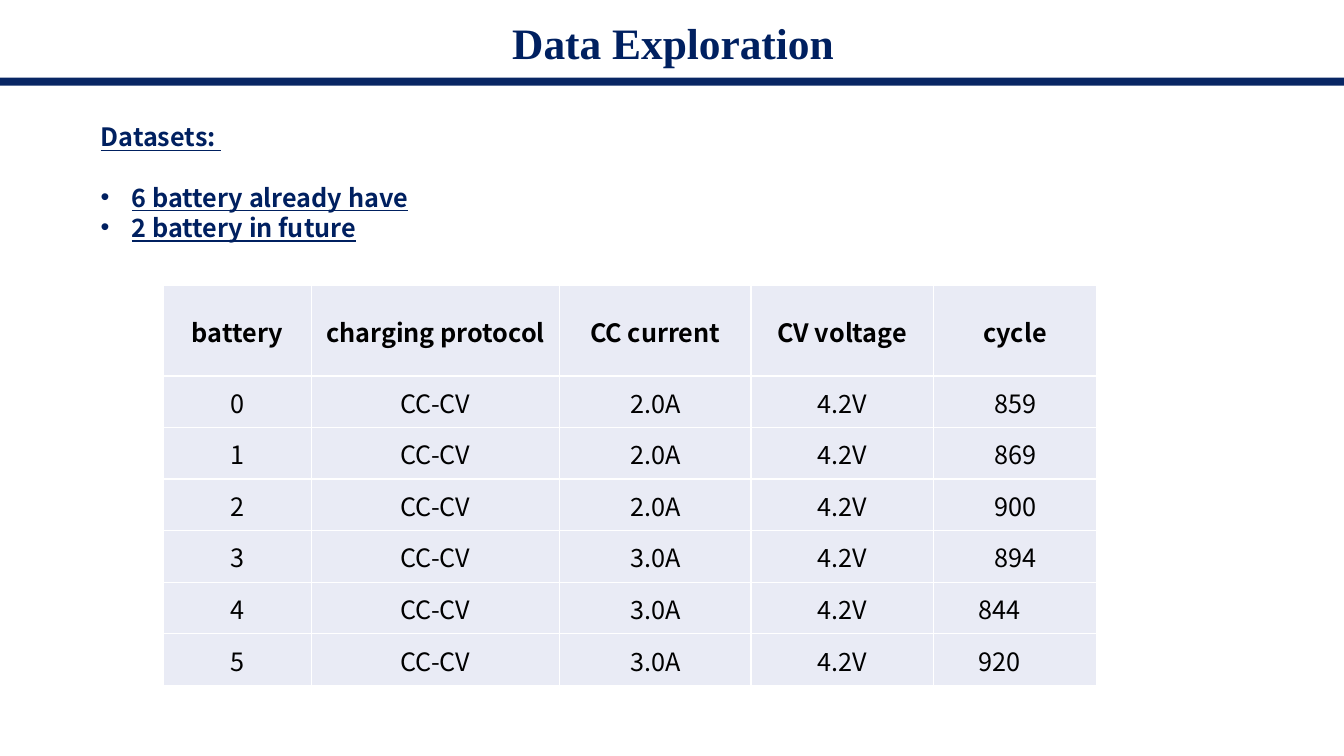
"""Build the Data Exploration slide with its battery dataset table."""
from lxml import etree
from pptx import Presentation
from pptx.dml.color import RGBColor
from pptx.enum.shapes import MSO_SHAPE
from pptx.enum.text import MSO_ANCHOR, PP_ALIGN
from pptx.oxml.ns import qn
from pptx.util import Inches, Pt

RECTANGLE = MSO_SHAPE.RECTANGLE
MIDDLE = MSO_ANCHOR.MIDDLE
CENTER = PP_ALIGN.CENTER
NAVY = RGBColor(0x00, 0x20, 0x60)
BLACK = RGBColor(0x00, 0x00, 0x00)
WHITE = RGBColor(0xFF, 0xFF, 0xFF)
PALE = RGBColor(0xE9, 0xEB, 0xF5)
SERIF = "Times New Roman"
SANS = "Noto Sans CJK SC"
WIDTH, HEIGHT = Inches(13.33), Inches(7.5)

HEADERS = ["battery", "charging protocol", "CC current", "CV voltage", "cycle"]
CURRENTS = ["2.0A"] * 3 + ["3.0A"] * 3
CYCLES = ["859", "869", "900", "894", "844", "920"]
OFFSET_CYCLES = ("844", "920")
COLUMN_SHARES = [11.03, 18.45, 14.25, 13.58, 12.15]
HEADER_SHARE, ROW_SHARE = 12, 6.82


def across(share):
    """Turn a percentage of the slide width into a length."""
    return round(WIDTH * share / 100)


def down(share):
    """Turn a percentage of the slide height into a length."""
    return round(HEIGHT * share / 100)


def box(x, y, w, h):
    """Turn four percentages into left, top, width and height."""
    return across(x), down(y), across(w), down(h)


def style(p, font, size, color, bold=False, underline=False):
    """Format every run of a paragraph."""
    for r in p.runs:
        r.font.name, r.font.size = font, Pt(size)
        r.font.bold, r.font.underline = bold, underline
        r.font.color.rgb = color


def add_title(slide, text):
    """Add the centred title."""
    tf = slide.shapes.add_textbox(*box(0.15, 1.87, 99.85, 8.4)).text_frame
    tf.word_wrap, tf.vertical_anchor = True, MIDDLE
    p = tf.paragraphs[0]
    p.text, p.alignment, p.line_spacing = text, CENTER, 0.9
    style(p, SERIF, 31, NAVY, bold=True)


def add_rule(slide):
    """Add the slightly transparent bar under the title."""
    sp = slide.shapes.add_shape(RECTANGLE, *box(-0.15, 10.27, 100.25, 1.07))
    sp.shadow.inherit = False
    sp.fill.solid()
    sp.fill.fore_color.rgb = NAVY
    sp.line.fill.background()
    color = sp.fill._xPr.find(qn("a:solidFill"))[0]
    etree.SubElement(color, qn("a:alpha"), val="97000")


def add_bullet(p):
    """Give a paragraph a hanging round bullet."""
    pPr = p._p.get_or_add_pPr()
    pPr.set("marL", str(Inches(0.31)))
    pPr.set("indent", str(-Inches(0.31)))
    etree.SubElement(pPr, qn("a:buFont"), typeface="Arial")
    etree.SubElement(pPr, qn("a:buChar"), char="•")


def add_summary(slide, heading, items):
    """Add an underlined heading followed by bulleted items."""
    tf = slide.shapes.add_textbox(*box(6.75, 15.47, 42.54, 17.47)).text_frame
    tf.word_wrap = True
    tf.text = "\n".join([heading, *items])
    for p in tf.paragraphs:
        p.line_spacing = Pt(21.5)
        style(p, SANS, 18, NAVY, bold=True, underline=True)
    tf.paragraphs[0].space_after = Pt(21.5)
    for p in tf.paragraphs[1:]:
        add_bullet(p)


def add_borders(cell):
    """Draw thin white lines on all sides of a cell."""
    tcPr = cell._tc.get_or_add_tcPr()
    for side in ("lnL", "lnR", "lnT", "lnB"):
        ln = etree.SubElement(tcPr, qn(f"a:{side}"), w=str(Pt(1)))
        fill = etree.SubElement(ln, qn("a:solidFill"))
        etree.SubElement(fill, qn("a:srgbClr"), val=str(WHITE))


def fill_cell(cell, text, bold):
    """Write and format one table cell."""
    add_borders(cell)
    cell.fill.solid()
    cell.fill.fore_color.rgb = PALE
    cell.vertical_anchor = MIDDLE
    cell.margin_left = cell.margin_top = Inches(0.01)
    cell.margin_right = Inches(0.32 if text in OFFSET_CYCLES else 0.01)
    cell.margin_bottom = 0
    p = cell.text_frame.paragraphs[0]
    p.text, p.alignment = text, CENTER
    style(p, SANS, 18, BLACK, bold=bold)


def add_battery_table(slide):
    """Add the table of charging settings and cycle counts."""
    rows = [HEADERS] + [[str(i), "CC-CV", current, "4.2V", cycle]
                        for i, (current, cycle) in enumerate(zip(CURRENTS, CYCLES))]
    row_shares = [HEADER_SHARE] + [ROW_SHARE] * len(CYCLES)
    place = box(12.15, 37.73, sum(COLUMN_SHARES), sum(row_shares))
    table = slide.shapes.add_table(len(rows), len(HEADERS), *place).table
    table.horz_banding = False
    for column, share in zip(table.columns, COLUMN_SHARES):
        column.width = across(share)
    for i, (row, share) in enumerate(zip(table.rows, row_shares)):
        row.height = down(share)
        for cell, text in zip(row.cells, rows[i]):
            fill_cell(cell, text, bold=i == 0)


def main():
    """Build and save the presentation."""
    prs = Presentation()
    prs.slide_width, prs.slide_height = WIDTH, HEIGHT
    slide = prs.slides.add_slide(prs.slide_layouts[6])
    add_title(slide, "Data Exploration")
    add_rule(slide)
    add_summary(slide, "Datasets: ", ["6 battery already have", "2 battery in future"])
    add_battery_table(slide)
    prs.save("out.pptx")


if __name__ == "__main__":
    main()
